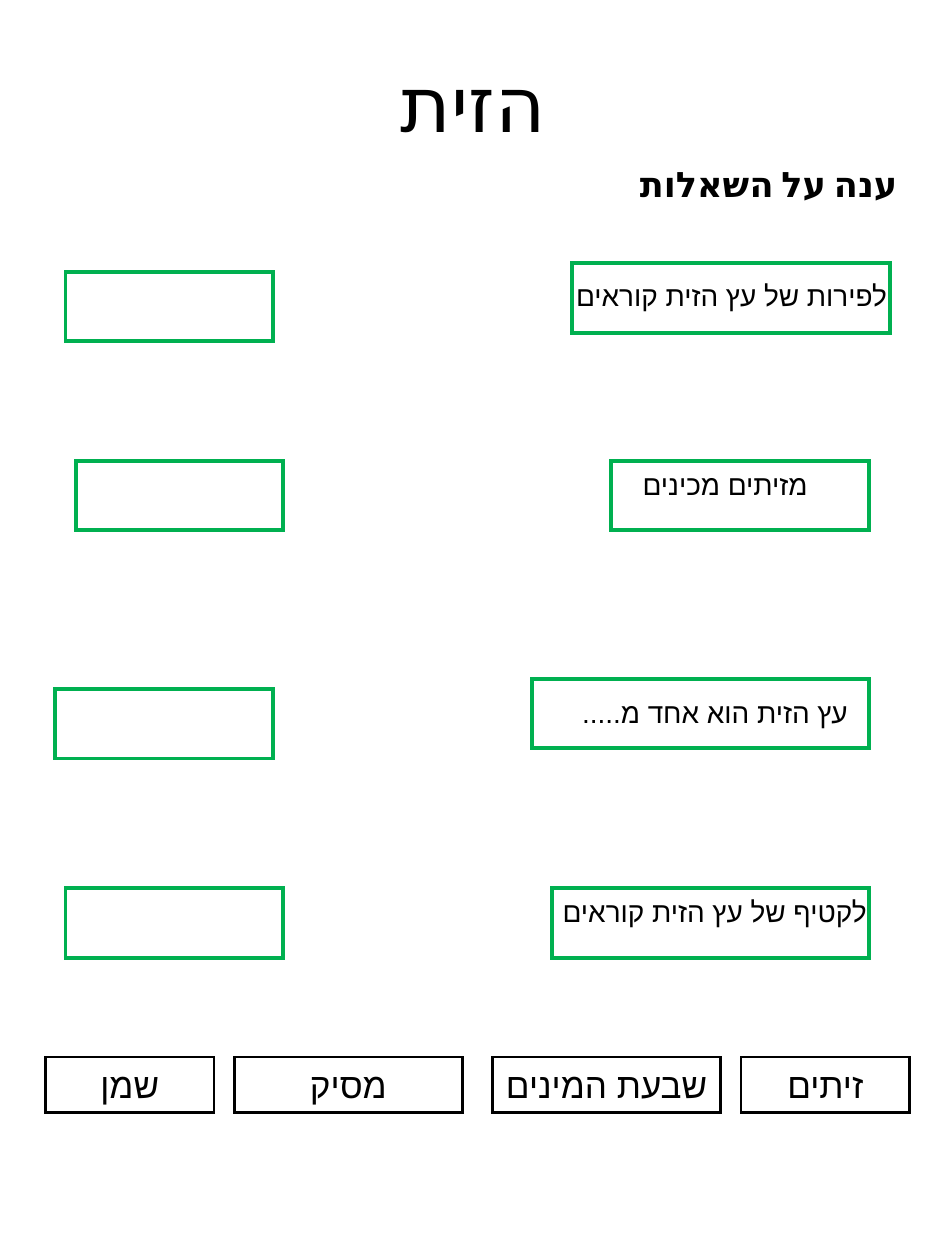
import pptx
import pptx.util
import pptx.dml.color
import pptx.enum.shapes
import pptx.enum.text
from dataclasses import dataclass
from lxml import etree

ALIGN = pptx.enum.text.PP_ALIGN
ANCHOR = pptx.enum.text.MSO_ANCHOR


@dataclass(frozen=True)
class Theme:
    ink: str = "000000"
    frame: str = "00B050"
    heading_font: str = "Calibri"
    body_font: str = "Arial"
    title_size: int = 44
    word_size: int = 20
    question_size: int = 16
    frame_line: float = 2.25
    word_line: float = 1.5


THEME = Theme()
WIDTH, HEIGHT = pptx.util.Inches(7.5), pptx.util.Inches(10)
COLUMNS, ROWS = 750, 1000  # fine square grid over the page

FRAME_ROWS, LABEL_ROWS = 55, 37

# Question, alignment, then (column, row, columns wide) of frame, label and answer
QUESTIONS = [
    ("לפירות של עץ הזית קוראים", ALIGN.RIGHT, (454, 209, 252), (438, 216, 276), (52, 216, 165)),
    ("מזיתים מכינים", ALIGN.CENTER, (485, 366, 205), (493, 366, 165), (60, 366, 165)),
    ("עץ הזית הוא אחד מ.....", ALIGN.RIGHT, (422, 539, 268), (399, 547, 284), (44, 547, 173)),
    ("לקטיף של עץ הזית קוראים", ALIGN.RIGHT, (438, 705, 252), (438, 705, 260), (52, 705, 173)),
]

# Word bank: word, column, columns wide
WORD_ROW, WORD_ROWS = 839, 44
WORDS = [("זיתים", 588, 134), ("שבעת המינים", 391, 181), ("מסיק", 186, 181), ("שמן", 36, 134)]


def place(column, row, columns, rows):
    return (round(WIDTH * column / COLUMNS), round(HEIGHT * row / ROWS),
            round(WIDTH * columns / COLUMNS), round(HEIGHT * rows / ROWS))


def rgb(color):
    return pptx.dml.color.RGBColor.from_string(color)


def write_hebrew(shape, text, size, font, align, anchor=ANCHOR.TOP, bold=False):
    frame = shape.text_frame
    frame.word_wrap = True
    frame.vertical_anchor = anchor
    if align == ALIGN.RIGHT:
        frame.margin_left = 0  # leaves the whole line room on its open side
    paragraph = frame.paragraphs[0]
    paragraph.alignment = align
    paragraph._p.get_or_add_pPr().set("rtl", "1")
    run = paragraph.add_run()
    run.text = text
    run.font.size = pptx.util.Pt(size)
    run.font.bold = bold
    run.font.name = font
    run.font.language_id = pptx.enum.lang.MSO_LANGUAGE_ID.HEBREW
    run.font.color.rgb = rgb(THEME.ink)
    # Hebrew takes its typeface from the complex-script font
    script_font = etree.SubElement(run._r.get_or_add_rPr(), pptx.oxml.ns.qn("a:cs"))
    script_font.set("typeface", font)


def add_label(slide, area, *args, **kwargs):
    label = slide.shapes.add_textbox(*place(*area))
    write_hebrew(label, *args, **kwargs)


def add_frame(slide, area, color, line_width):
    frame = slide.shapes.add_shape(pptx.enum.shapes.MSO_SHAPE.RECTANGLE, *place(*area))
    frame.shadow.inherit = False
    frame.fill.background()
    frame.line.color.rgb = rgb(color)
    frame.line.width = pptx.util.Pt(line_width)
    # Square corners
    outline = frame.line._get_or_add_ln()
    etree.SubElement(outline, pptx.oxml.ns.qn("a:miter")).set("lim", "800000")
    return frame


def add_question(slide, text, align, frame, label, answer):
    for area in (frame, answer):
        add_frame(slide, (*area, FRAME_ROWS), THEME.frame, THEME.frame_line)
    add_label(slide, (*label, LABEL_ROWS), text, THEME.question_size, THEME.body_font, align)


def add_word(slide, word, column, columns):
    card = add_frame(slide, (column, WORD_ROW, columns, WORD_ROWS), THEME.ink, THEME.word_line)
    write_hebrew(card, word, THEME.word_size, THEME.body_font, ALIGN.CENTER)


def main():
    deck = pptx.Presentation()
    deck.slide_width, deck.slide_height = WIDTH, HEIGHT
    slide = deck.slides.add_slide(deck.slide_layouts[6])

    # Title and instruction
    add_label(slide, (38, 40, 675, 82), "הזית", THEME.title_size,
              THEME.heading_font, ALIGN.CENTER, ANCHOR.MIDDLE)
    add_label(slide, (178, 122, 544, 47), "ענה על השאלות", THEME.word_size,
              THEME.heading_font, ALIGN.RIGHT, ANCHOR.MIDDLE, bold=True)

    # Questions with empty answer frames
    for question in QUESTIONS:
        add_question(slide, *question)

    # Word bank
    for word in WORDS:
        add_word(slide, *word)

    deck.save("out.pptx")


if __name__ == "__main__":
    import pptx.enum.lang
    main()
